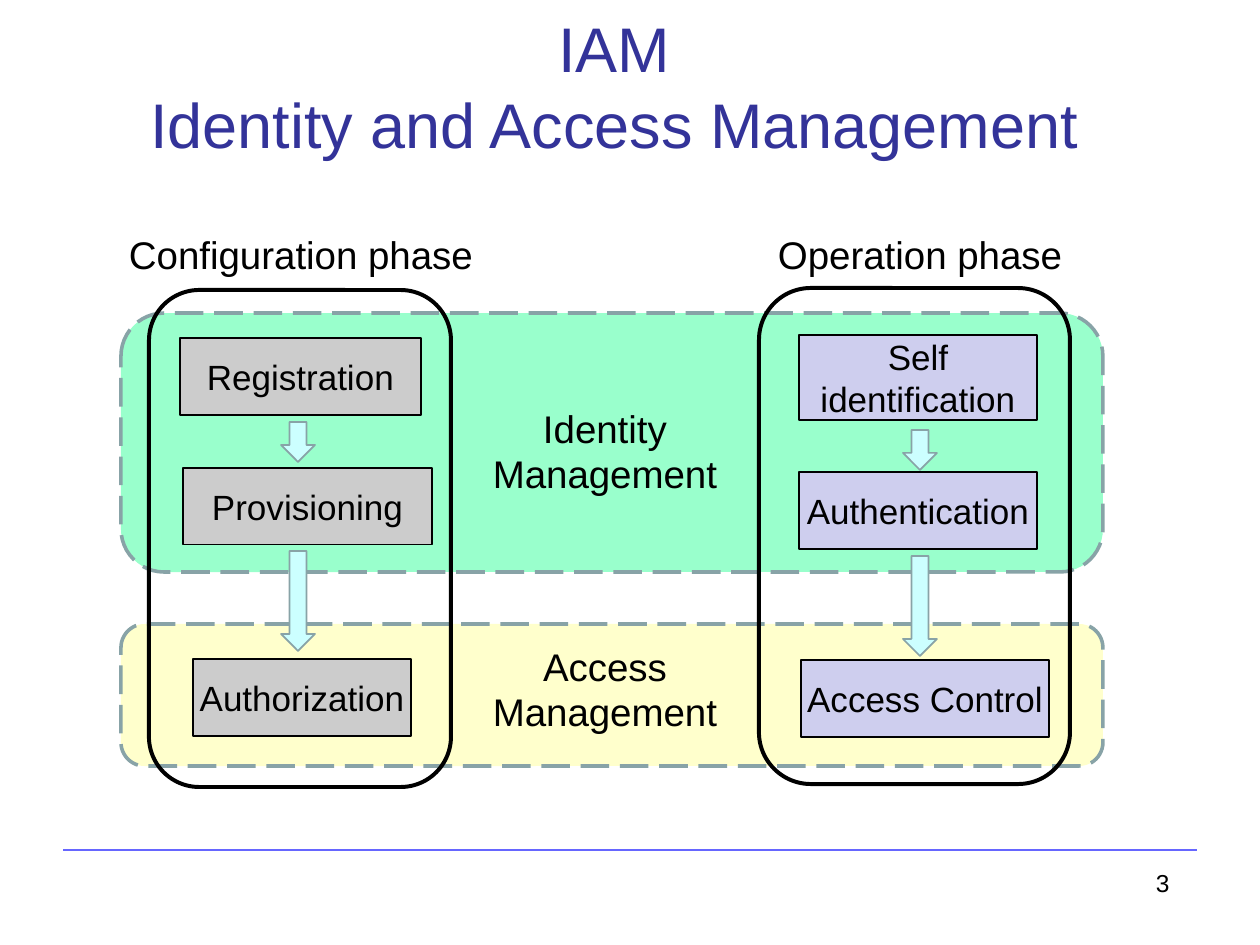
from lxml import etree
from pptx import Presentation
from pptx.dml.color import RGBColor
from pptx.enum.dml import MSO_LINE
from pptx.enum.shapes import MSO_CONNECTOR, MSO_SHAPE
from pptx.enum.text import MSO_ANCHOR, PP_ALIGN
from pptx.oxml.ns import qn
from pptx.util import Pt

RECT, ROUNDED, DOWN = MSO_SHAPE.RECTANGLE, MSO_SHAPE.ROUNDED_RECTANGLE, MSO_SHAPE.DOWN_ARROW
LEFT, CENTER = PP_ALIGN.LEFT, PP_ALIGN.CENTER
MIDDLE = MSO_ANCHOR.MIDDLE
LONG_DASH = MSO_LINE.LONG_DASH
STRAIGHT = MSO_CONNECTOR.STRAIGHT

PX = 914400 / 126
COLORS = {
    "title": "333399", "text": "000000", "rule": "6666FF", "edge": "88A3A7",
    "identity": "99FFCC", "access": "FFFFCC", "arrow": "CCFFFF",
    "config": "CCCCCC", "operation": "CECEEE",
}


def emu(*lengths):
    return [round(length * PX) for length in lengths]


def color(name):
    return RGBColor.from_string(COLORS[name])


class Board:
    font = "Arial"

    def __init__(self, slide):
        self.shapes = slide.shapes

    def set_text(self, shape, lines, size, ink="text", align=CENTER, spacing=None):
        frame = shape.text_frame
        frame.word_wrap = True
        frame.vertical_anchor = MIDDLE
        frame.margin_left = frame.margin_right = frame.margin_top = frame.margin_bottom = 0
        for i, line in enumerate(lines):
            paragraph = frame.add_paragraph() if i else frame.paragraphs[0]
            paragraph.text = line
            paragraph.alignment = align
            if spacing:
                paragraph.line_spacing = Pt(spacing)
            paragraph.font.name = self.font
            paragraph.font.size = Pt(size)
            paragraph.font.color.rgb = color(ink)

    def text(self, box, lines, size, **style):
        self.set_text(self.shapes.add_textbox(*emu(*box)), lines, size, **style)

    def shape(self, kind, box, fill, line, width, dash=None):
        shape = self.shapes.add_shape(kind, *emu(*box))
        shape.shadow.inherit = False
        if fill:
            shape.fill.solid()
            shape.fill.fore_color.rgb = color(fill)
        else:
            shape.fill.background()
        shape.line.color.rgb = color(line)
        shape.line.width = Pt(width)
        if dash:
            shape.line.dash_style = dash
        return shape

    def step(self, box, lines, fill):
        self.set_text(self.shape(RECT, box, fill, "text", 0.72), lines, 20,
                      spacing=24 if len(lines) > 1 else None)

    def area(self, box, fill):
        self.shape(ROUNDED, box, fill, "edge", 2.04, LONG_DASH)

    def phase(self, box):
        self.shape(ROUNDED, box, None, "text", 2.28)

    def arrow(self, x, y, height):
        self.shape(DOWN, (x, y, 34, height), "arrow", "edge", 0.96)

    def rule(self, x1, x2, y):
        line = self.shapes.add_connector(STRAIGHT, *emu(x1, y, x2, y))
        line.line.color.rgb = color("rule")
        line.line.width = Pt(0.72)
        etree.SubElement(line._element.spPr, qn("a:effectLst"))


def main():
    deck = Presentation()
    deck.slide_width, deck.slide_height = emu(1260, 945)
    board = Board(deck.slides.add_slide(deck.slide_layouts[6]))

    # Footer rule and title
    board.rule(63, 1197, 850)
    board.text((147, 8, 935, 155), ["IAM", "Identity and Access Management"], 36,
               ink="title", spacing=43)

    # Management areas
    for name, top, height, label_top in (("identity", 313, 259, 403), ("access", 624, 142, 641)):
        board.area((121, top, 982, height), name)
        board.text((480, label_top, 250, 96), [name.capitalize(), "Management"], 22, spacing=26)

    # Steps of each phase
    for box, lines, fill in (
        ((180, 338, 241, 77), ["Registration"], "config"),
        ((183, 468, 249, 77), ["Provisioning"], "config"),
        ((193, 659, 218, 77), ["Authorization"], "config"),
        ((799, 335, 238, 85), ["Self", "identification"], "operation"),
        ((799, 472, 238, 77), ["Authentication"], "operation"),
        ((801, 660, 248, 77), ["Access Control"], "operation"),
    ):
        board.step(box, lines, fill)

    # Phase outlines, headings and arrows
    for name, label_x, outline, arrow_x, arrow_tops in (
        ("Configuration", 129, (149, 290, 302, 497), 281, (422, 551)),
        ("Operation", 778, (759, 288, 311, 496), 903, (430, 556)),
    ):
        board.phase(outline)
        board.text((label_x, 230, 360, 48), [f"{name} phase"], 22, align=LEFT)
        for top, height in zip(arrow_tops, (40, 100)):
            board.arrow(arrow_x, top, height)

    # Page number
    board.text((1156, 866, 37, 33), ["3"], 14, align=LEFT)

    deck.save("out.pptx")


if __name__ == "__main__":
    main()
